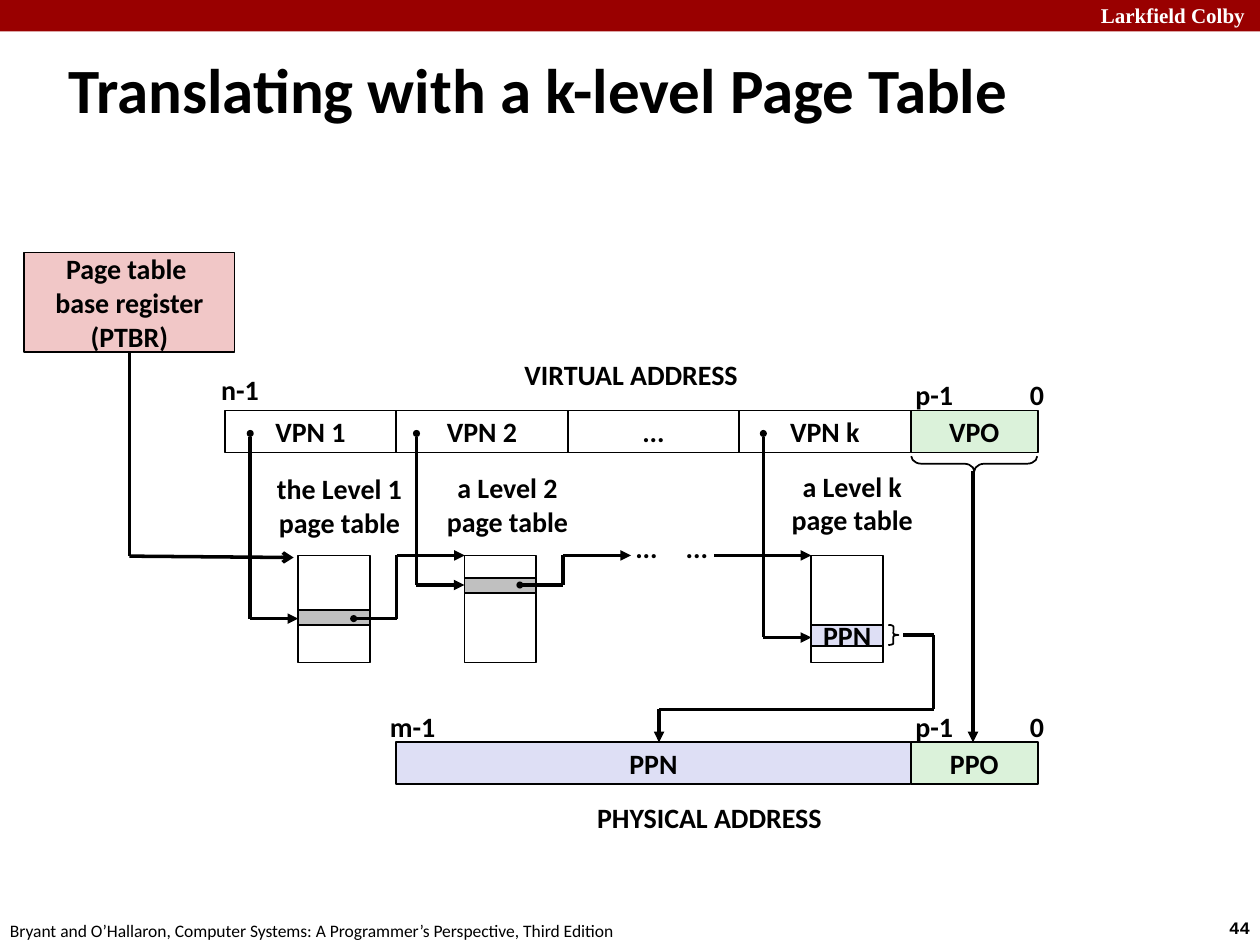
import dataclasses

import lxml.etree
import pptx
import pptx.dml.color
import pptx.enum.shapes
import pptx.enum.text
import pptx.oxml.ns
import pptx.util

Pt = pptx.util.Pt
MSO_SHAPE = pptx.enum.shapes.MSO_SHAPE
CENTER = pptx.enum.text.PP_ALIGN.CENTER
LEFT = pptx.enum.text.PP_ALIGN.LEFT


@dataclasses.dataclass(frozen=True)
class Theme:
    font: str = "Calibri"
    banner_font: str = "Times New Roman"
    number_font: str = "Courier New"
    black: str = "000000"
    white: str = "FFFFFF"
    banner: str = "990000"
    register: str = "F1C7C7"
    offset: str = "DBF2DA"
    page: str = "DEDFF5"
    entry: str = "C0C0C0"
    title_size: int = 36
    label_size: int = 16
    banner_size: int = 12
    footer_size: int = 10
    outline: int = 1
    arrow: int = 2


THEME = Theme()

FIELD_LEFT, FIELD_WIDTH, FIELD_HEIGHT = 128.4, 98, 24
VIRTUAL_TOP, PHYSICAL_TOP = 234.6, 424.2
OFFSET_LEFT, OFFSET_WIDTH = FIELD_LEFT + 4 * FIELD_WIDTH, 72.6
TABLE_TOP, TABLE_WIDTH, TABLE_HEIGHT = 317.4, 41, 61.2


def color(value):
    return pptx.dml.color.RGBColor.from_string(value)


def write(shape, text, size=THEME.label_size, font=THEME.font, ink=THEME.black,
          bold=True, align=CENTER, wrap=False):
    frame = shape.text_frame
    frame.text = text
    frame.word_wrap = wrap
    frame.vertical_anchor = pptx.enum.text.MSO_ANCHOR.MIDDLE
    for paragraph in frame.paragraphs:
        paragraph.alignment = align
        for run in paragraph.runs:
            run.font.name = font
            run.font.size = Pt(size)
            run.font.bold = bold
            run.font.color.rgb = color(ink)


def add_text(slide, left, top, width, height, text, **style):
    box = slide.shapes.add_textbox(Pt(left), Pt(top), Pt(width), Pt(height))
    write(box, text, **style)


def add_label(slide, center, middle, text, width=44, height=26.6):
    """Centre a label on a point."""
    add_text(slide, center - width / 2, middle - height / 2, width, height, text)


def add_outline(slide, kind, left, top, width, height, fill=None, line=THEME.black):
    shape = slide.shapes.add_shape(kind, Pt(left), Pt(top), Pt(width), Pt(height))
    shape.shadow.inherit = False
    if fill:
        shape.fill.solid()
        shape.fill.fore_color.rgb = color(fill)
    else:
        shape.fill.background()
    if line:
        shape.line.color.rgb = color(line)
        shape.line.width = Pt(THEME.outline)
    else:
        shape.line.fill.background()
    return shape


def add_box(slide, left, top, width, height, text="", fill=None, line=THEME.black):
    shape = add_outline(slide, MSO_SHAPE.RECTANGLE, left, top, width, height, fill, line)
    if text:
        write(shape, text)


def add_brace(slide, left, top, width, height, curve, rotation=0):
    brace = add_outline(slide, MSO_SHAPE.RIGHT_BRACE, left, top, width, height)
    brace.adjustments[0] = curve
    brace.rotation = rotation


def add_route(slide, points, dot=False, end="triangle"):
    """Join points by straight lines, with an optional dot at the start."""
    qn = pptx.oxml.ns.qn
    last = len(points) - 2
    for index, ((x1, y1), (x2, y2)) in enumerate(zip(points, points[1:])):
        connector = slide.shapes.add_connector(
            pptx.enum.shapes.MSO_CONNECTOR.STRAIGHT, Pt(x1), Pt(y1), Pt(x2), Pt(y2))
        connector.line.color.rgb = color(THEME.black)
        connector.line.width = Pt(THEME.arrow)
        line = connector.line._get_or_add_ln()
        if dot and index == 0:
            lxml.etree.SubElement(line, qn("a:headEnd"), type="oval", w="sm", len="sm")
        if index == last:
            lxml.etree.SubElement(line, qn("a:tailEnd"), type=end)
        properties = connector._element.spPr
        lxml.etree.SubElement(properties, qn("a:effectLst"))


def add_page_table(slide, left, entry_top, entry_height, index_end, fill, text=""):
    """Draw a page table, its entry and the VPN arrow that selects the entry."""
    add_box(slide, left, TABLE_TOP, TABLE_WIDTH, TABLE_HEIGHT)
    add_box(slide, left, entry_top, TABLE_WIDTH, entry_height, text, fill)
    index_x = left - 27.4
    add_route(slide, [(index_x, 247.7), (index_x, index_end), (left, index_end)], dot=True)


def add_next_level(slide, table_left, entry_middle):
    """Lead from a table entry to the top of the next table."""
    start, turn = table_left + 31.7, table_left + 56.2
    add_route(slide, [(start, entry_middle), (turn, entry_middle),
                      (turn, TABLE_TOP), (turn + 39, TABLE_TOP)], dot=True)


def add_frame(slide):
    add_box(slide, 0, 0, 720, 18, fill=THEME.banner, line=None)
    add_text(slide, 622, -2.2, 103, 21.6, "Larkfield Colby", size=THEME.banner_size,
             font=THEME.banner_font, ink=THEME.white, align=LEFT)
    add_text(slide, 695.3, 520.5, 32.4, 19.4, "44", size=THEME.footer_size,
             font=THEME.number_font, align=LEFT)
    add_text(slide, -1.4, 522, 366, 19.4,
             "Bryant and O’Hallaron, Computer Systems: A Programmer’s Perspective, Third Edition",
             size=THEME.footer_size, bold=False, align=LEFT)
    add_text(slide, 32, 19.4, 652, 62, "Translating with a k-level Page Table",
             size=THEME.title_size, align=LEFT, wrap=True)


def add_addresses(slide):
    for index, text in enumerate(["VPN 1", "VPN 2", "...", "VPN k"]):
        add_box(slide, FIELD_LEFT + index * FIELD_WIDTH, VIRTUAL_TOP,
                FIELD_WIDTH, FIELD_HEIGHT, text)
    add_box(slide, FIELD_LEFT + FIELD_WIDTH, PHYSICAL_TOP,
            3 * FIELD_WIDTH, FIELD_HEIGHT, "PPN", THEME.page)
    for top, text in [(VIRTUAL_TOP, "VPO"), (PHYSICAL_TOP, "PPO")]:
        add_box(slide, OFFSET_LEFT, top, OFFSET_WIDTH, FIELD_HEIGHT, text, THEME.offset)
        add_label(slide, 533.9, top - 9.1, "p-1")
        add_label(slide, 592.6, top - 9.1, "0")
    add_label(slide, 137.2, 222.2, "n-1")
    add_label(slide, 235.8, 415.1, "m-1")
    add_label(slide, 360.7, 214.2, "VIRTUAL ADDRESS", width=150)
    add_label(slide, 405.4, 467, "PHYSICAL ADDRESS", width=150)


def add_page_tables(slide):
    first, second, last = 170.4, 265.4, 463.6
    add_page_table(slide, first, 348.5, 8.6, 353.5, THEME.entry)
    add_page_table(slide, second, 330.5, 8.6, 334.3, THEME.entry)
    add_page_table(slide, last, 357.1, 12.2, 364.3, THEME.page, "PPN")
    add_next_level(slide, first, 353.5)
    add_next_level(slide, second, 334.3)
    add_route(slide, [(408.2, TABLE_TOP), (last, TABLE_TOP)])
    for center in (369.4, 398.2):
        add_label(slide, center, 313, "...")
    for center, middle, text in [(194, 288.7, "the Level 1"), (290, 288, "a Level 2"),
                                 (487, 287.3, "a Level k")]:
        add_label(slide, center, middle, text + "\npage table", width=90, height=46)


def add_register(slide):
    add_box(slide, 13.9, 144.3, 120.2, 56.9,
            "Page table \vbase register\n(PTBR)", THEME.register)
    add_route(slide, [(74, 201.2), (74, 317.8), (167.8, 318.6)], end="arrow")


def add_results(slide):
    """Carry the page number and the offset down to the physical address."""
    add_brace(slide, 507.6, 357.1, 5.8, 11.5, 0.16)
    add_route(slide, [(516.2, 363), (533.5, 363), (533.5, 405.4),
                      (376.6, 405.4), (376.6, PHYSICAL_TOP)])
    add_brace(slide, 552.4, 229, 8.6, 72, 0.68, rotation=90)
    add_route(slide, [(556, 269.3), (556, PHYSICAL_TOP)])


def main():
    presentation = pptx.Presentation()
    presentation.slide_width, presentation.slide_height = Pt(720), Pt(540)
    slide = presentation.slides.add_slide(presentation.slide_layouts[6])
    add_frame(slide)
    add_register(slide)
    add_addresses(slide)
    add_page_tables(slide)
    add_results(slide)
    presentation.save("out.pptx")


if __name__ == "__main__":
    main()
